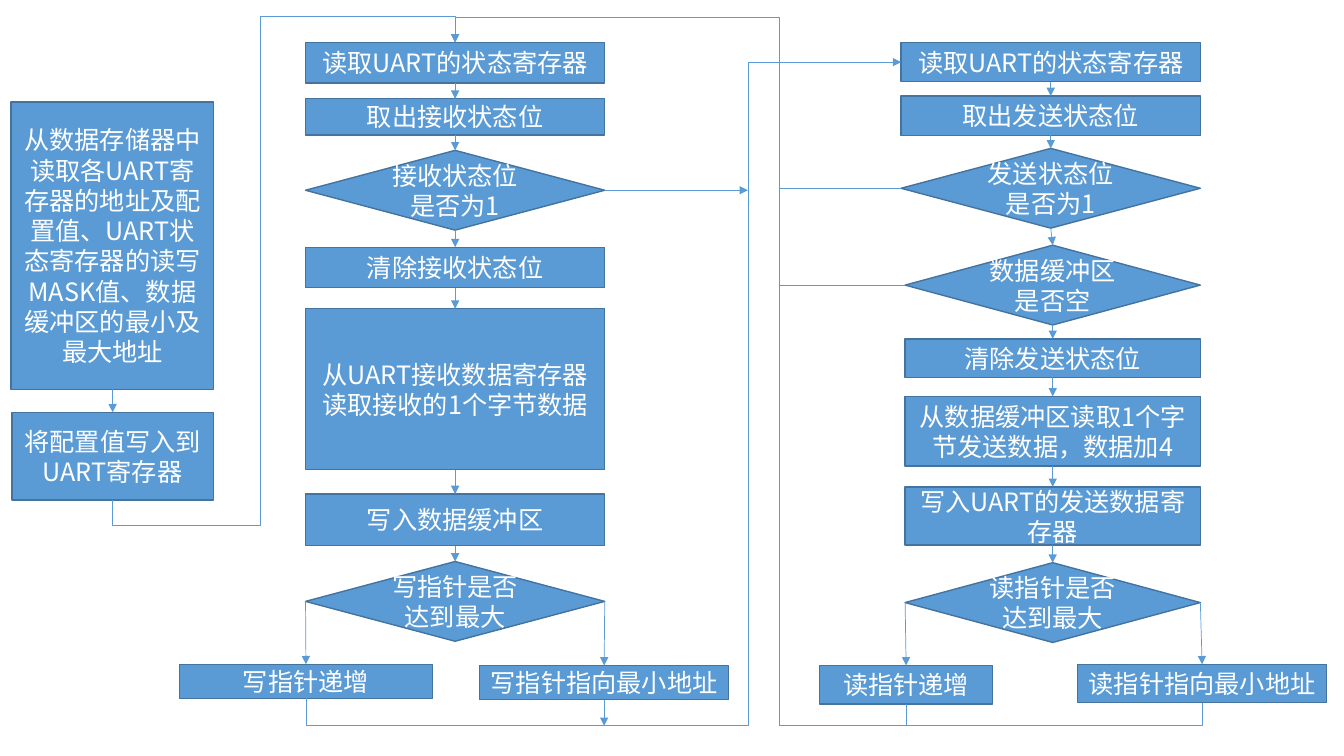
from lxml import etree
from pptx import Presentation
from pptx.dml.color import RGBColor
from pptx.enum.shapes import MSO_CONNECTOR, MSO_SHAPE
from pptx.enum.text import MSO_ANCHOR, PP_ALIGN
from pptx.oxml.ns import qn
from pptx.util import Cm, Pt

RECTANGLE = MSO_SHAPE.RECTANGLE
DIAMOND = MSO_SHAPE.DIAMOND
STRAIGHT = MSO_CONNECTOR.STRAIGHT
ELBOW = MSO_CONNECTOR.ELBOW
MIDDLE = MSO_ANCHOR.MIDDLE
CENTER = PP_ALIGN.CENTER
TOP, LEFT, BOTTOM, RIGHT = range(4)

FONT = "Noto Sans CJK SC"
COLORS = {"fill": "5B9BD5", "border": "43739E", "line": "5B9BD5", "text": "FFFFFF"}

TOP_LANE, BOTTOM_LANE = Cm(0.43), Cm(18.29)
SETUP_LANE, SEND_LANE, RETURN_LANE = Cm(6.55), Cm(18.85), Cm(19.63)


def color(name):
    return RGBColor.from_string(COLORS[name])


def write_text(shape, text, *, size=18, font=FONT, fill="text", align=CENTER):
    frame = shape.text_frame
    frame.word_wrap = True
    frame.vertical_anchor = MIDDLE
    paragraph = frame.paragraphs[0]
    paragraph.alignment = align
    run = paragraph.add_run()
    run.text = text
    run.font.size = Pt(size)
    run.font.name = font
    run.font.color.rgb = color(fill)
    etree.SubElement(run.font._element, qn("a:ea"), typeface=font)


def add_node(slide, box, text, left, top, width, height, kind=RECTANGLE):
    shape = slide.shapes.add_shape(
        kind, box[0] + Cm(left), box[1] + Cm(top), Cm(width), Cm(height))
    shape.shadow.inherit = False
    shape.fill.solid()
    shape.fill.fore_color.rgb = color("fill")
    shape.line.color.rgb = color("border")
    shape.line.width = Pt(1)
    write_text(shape, text)
    return shape


def site(shape, side):
    across = {LEFT: 0, RIGHT: shape.width}.get(side, shape.width // 2)
    down = {TOP: 0, BOTTOM: shape.height}.get(side, shape.height // 2)
    return shape.left + across, shape.top + down


def style_line(connector, arrow):
    connector.line.color.rgb = color("line")
    connector.line.width = Pt(0.5)
    if arrow:
        etree.SubElement(connector.line._get_or_add_ln(), qn("a:tailEnd"), type="triangle")
    etree.SubElement(connector._element.spPr, qn("a:effectLst"))


def add_line(slide, begin, end, arrow=True):
    connector = slide.shapes.add_connector(STRAIGHT, *begin, *end)
    style_line(connector, arrow)
    return connector


def link(slide, source, source_side, target, target_side):
    connector = add_line(slide, site(source, source_side), site(target, target_side))
    connector.begin_connect(source, source_side)
    connector.end_connect(target, target_side)


def add_elbow(slide, points, arrow=True):
    begin, end = points[0], points[-1]
    vertical = begin[0] == points[1][0]
    if vertical:
        center_x, center_y = (begin[0] + end[0]) // 2, (begin[1] + end[1]) // 2
        points = [(center_x + y - center_y, center_y - x + center_x) for x, y in points]
        begin, end = points[0], points[-1]
    connector = slide.shapes.add_connector(ELBOW, *begin, *end)
    properties = connector._element.spPr
    if vertical:
        properties.find(qn("a:xfrm")).set("rot", "5400000")
    geometry = properties.find(qn("a:prstGeom"))
    geometry.set("prst", f"bentConnector{len(points) - 1}")
    adjustments = geometry.find(qn("a:avLst"))
    if adjustments is None:
        adjustments = etree.SubElement(geometry, qn("a:avLst"))
    for index in range(1, len(points) - 2):
        axis = (index - 1) % 2
        share = (points[index][axis] - begin[axis]) / (end[axis] - begin[axis])
        etree.SubElement(adjustments, qn("a:gd"), name=f"adj{index}",
                         fmla=f"val {round(share * 100000)}")
    style_line(connector, arrow)


def draw_column(slide, box, steps, increment, reset):
    nodes = [add_node(slide, box, *step) for step in steps]
    for upper, lower in zip(nodes, nodes[1:]):
        link(slide, upper, BOTTOM, lower, TOP)
    branches = [add_node(slide, box, *branch) for branch in (increment, reset)]
    for side, branch in zip((LEFT, RIGHT), branches):
        link(slide, nodes[-1], side, branch, TOP)
    return nodes + branches


def draw_setup(slide, box):
    load = add_node(
        slide, box,
        "从数据存储器中读取各UART寄存器的地址及配置值、UART状态寄存器的读写MASK值、数据缓冲区的最小及最大地址",
        0, 0, 5.11, 7.24)
    configure = add_node(slide, box, "将配置值写入到UART寄存器", 0.02, 7.82, 5.08, 2.21)
    link(slide, load, BOTTOM, configure, TOP)
    return configure


def draw_receive(slide, box):
    width = 7.54
    steps = [
        ("读取UART的状态寄存器", 0, 0, width, 1.02),
        ("取出接收状态位", 0, 1.42, width, 0.91),
        ("接收状态位是否为1", 0, 2.72, width, 2.01, DIAMOND),
        ("清除接收状态位", 0, 5.16, width, 1.02),
        ("从UART接收数据寄存器读取接收的1个字节数据", 0, 6.71, width, 4.06),
        ("写入数据缓冲区", 0, 11.38, width, 1.3),
        ("写指针是否达到最大", 0, 13.08, width, 2.01, DIAMOND),
    ]
    return draw_column(slide, box, steps,
                       ("写指针递增", -3.18, 15.67, 6.38, 0.86),
                       ("写指针指向最小地址", 4.39, 15.7, 6.27, 0.86))


def draw_send(slide, box):
    width, inset, narrow = 7.54, 0.1, 7.44
    steps = [
        ("读取UART的状态寄存器", 0, 0, width, 0.99),
        ("取出发送状态位", 0, 1.35, width, 0.99),
        ("发送状态位是否为1", 0, 2.67, width, 2.01, DIAMOND),
        ("数据缓冲区是否空", inset, 5.11, narrow, 2.01, DIAMOND),
        ("清除发送状态位", inset, 7.47, narrow, 0.97),
        ("从数据缓冲区读取1个字节发送数据，数据加4", inset, 8.92, narrow, 1.75),
        ("写入UART的发送数据寄存器", inset, 11.2, narrow, 1.47),
        ("读指针是否达到最大", inset, 13.11, narrow, 2.01, DIAMOND),
    ]
    return draw_column(slide, box, steps,
                       ("读指针递增", -2.06, 15.7, 4.37, 0.97),
                       ("读指针指向最小地址", 4.45, 15.67, 6.27, 0.97))


def draw_routes(slide, configure, receive, send):
    start = site(receive[0], TOP)
    above_start = (start[0], TOP_LANE)
    setup_exit = site(configure, BOTTOM)
    setup_turn = setup_exit[1] + Cm(0.64)
    add_elbow(slide, [setup_exit, (setup_exit[0], setup_turn), (SETUP_LANE, setup_turn),
                      (SETUP_LANE, TOP_LANE), above_start, start])

    increment_exit, reset_exit = (site(node, BOTTOM) for node in receive[-2:])
    send_start = site(send[0], LEFT)
    add_elbow(slide, [increment_exit, (increment_exit[0], BOTTOM_LANE),
                      (SEND_LANE, BOTTOM_LANE), (SEND_LANE, send_start[1]), send_start])
    add_line(slide, reset_exit, (reset_exit[0], BOTTOM_LANE))
    not_received = site(receive[2], RIGHT)
    add_line(slide, not_received, (SEND_LANE, not_received[1]))

    not_ready, empty = site(send[2], LEFT), site(send[3], LEFT)
    add_elbow(slide, [not_ready, (RETURN_LANE, not_ready[1]),
                      (RETURN_LANE, TOP_LANE), above_start, start])
    add_elbow(slide, [empty, (RETURN_LANE, empty[1]), (RETURN_LANE, not_ready[1])], arrow=False)
    add_line(slide, (RETURN_LANE, empty[1]), (RETURN_LANE, BOTTOM_LANE), arrow=False)
    increment_exit, reset_exit = (site(node, BOTTOM) for node in send[-2:])
    for origin, target in ((increment_exit, RETURN_LANE), (reset_exit, increment_exit[0])):
        add_elbow(slide, [origin, (origin[0], BOTTOM_LANE), (target, BOTTOM_LANE)], arrow=False)


def main():
    presentation = Presentation()
    presentation.slide_width = Cm(33.87)
    presentation.slide_height = Cm(19.05)
    slide = presentation.slides.add_slide(presentation.slide_layouts[6])
    configure = draw_setup(slide, (Cm(0.28), Cm(2.57)))
    receive = draw_receive(slide, (Cm(7.7), Cm(1.07)))
    send = draw_send(slide, (Cm(22.71), Cm(1.07)))
    draw_routes(slide, configure, receive, send)
    presentation.save("out.pptx")


if __name__ == "__main__":
    main()
